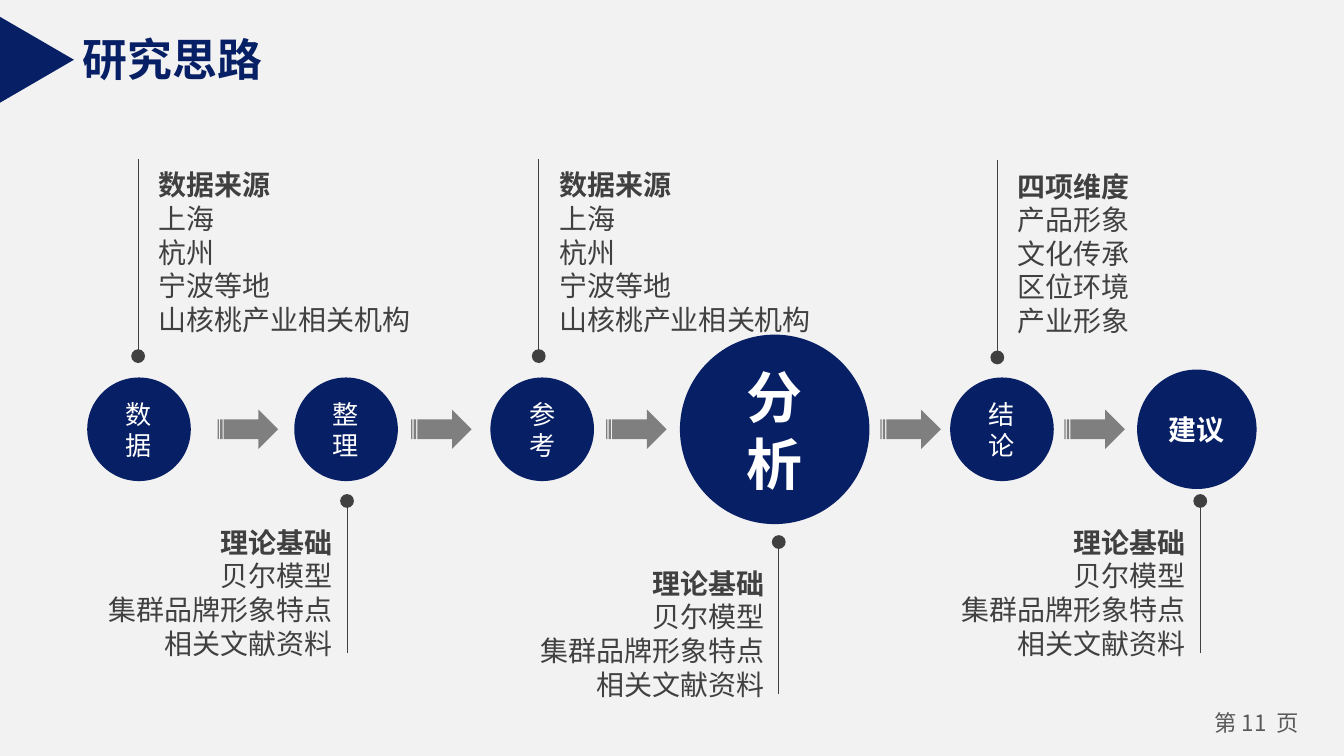
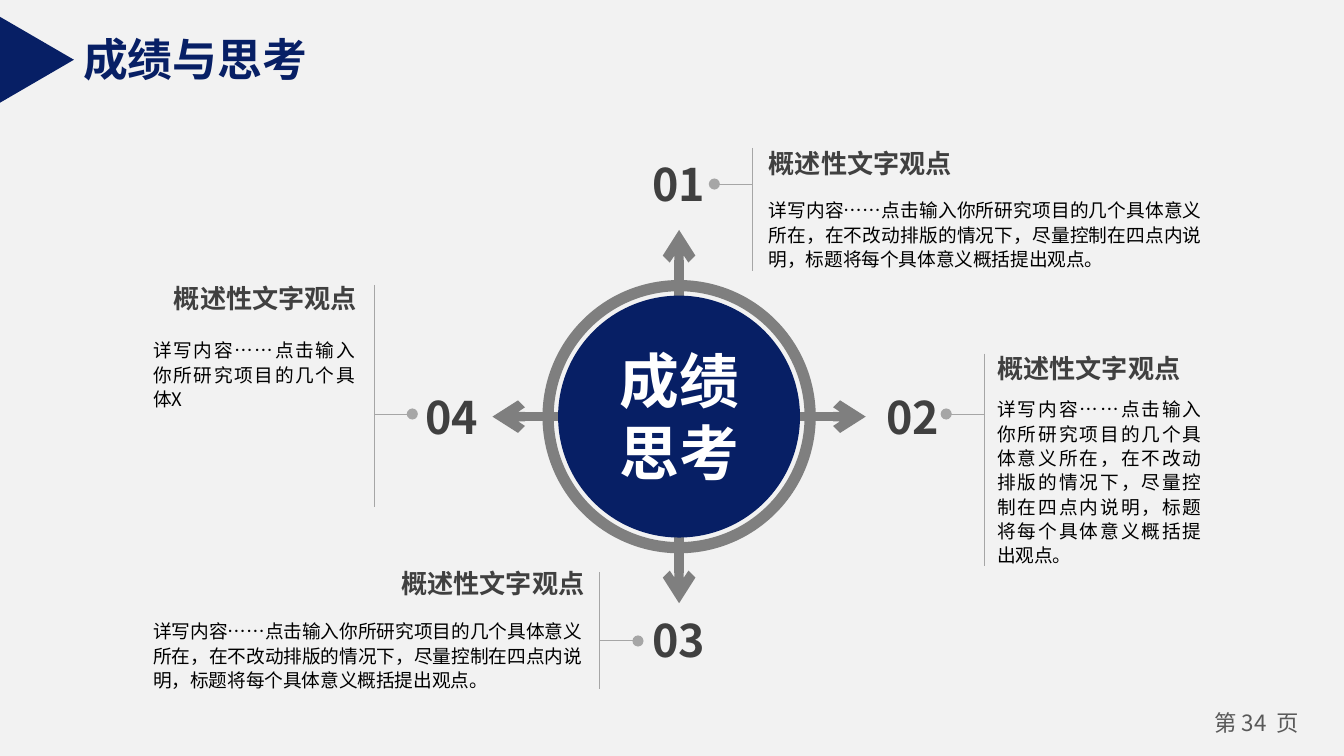
from dataclasses import dataclass

from lxml import etree
from pptx import Presentation
from pptx.dml.color import RGBColor
from pptx.enum.shapes import MSO_CONNECTOR, MSO_SHAPE
from pptx.enum.text import MSO_ANCHOR, MSO_AUTO_SIZE, PP_ALIGN
from pptx.oxml.ns import qn
from pptx.util import Pt

OVAL = MSO_SHAPE.OVAL
ARROW = MSO_SHAPE.STRIPED_RIGHT_ARROW
WEDGE = MSO_SHAPE.ISOSCELES_TRIANGLE
LINE = MSO_CONNECTOR.STRAIGHT
LEFT, RIGHT, MID, FULL = PP_ALIGN.LEFT, PP_ALIGN.RIGHT, PP_ALIGN.CENTER, PP_ALIGN.JUSTIFY
GROW = MSO_AUTO_SIZE.SHAPE_TO_FIT_TEXT


@dataclass(frozen=True)
class Theme:
    paper: str = "F2F2F2"
    navy: str = "071F65"
    gray: str = "7F7F7F"
    pale: str = "A6A6A6"
    dark: str = "404040"
    foot: str = "595959"
    white: str = "FFFFFF"
    black: str = "000000"
    font: str = "Noto Sans CJK SC"
    head_font: str = "Arial"
    title: float = 24
    page: float = 12
    step: float = 14
    note: float = 15
    big: float = 30
    hub: float = 32
    digit: float = 24
    head: float = 14
    body: float = 10


T = Theme()


@dataclass(frozen=True)
class Step:
    text: str
    x: float
    wide: float = 55.5
    size: float = T.step
    bold: bool = False


@dataclass(frozen=True)
class Note:
    """Text on a stem; x and y are the centre of the stem's dot."""
    lines: tuple[str, ...]
    x: float
    y: float
    wide: float
    up: bool


@dataclass(frozen=True)
class Point:
    """One view; side is -1 if its number stands left of the stem, else 1."""
    mark: str
    mark_x: float
    mark_y: float
    stem: tuple[float, float, float]
    fork: float
    side: int
    head: tuple[float, float, float]
    body: tuple[float, float, float, float]
    text: str


STEP_Y = 230
STEPS = (
    Step("数据", 74.5), Step("整理", 185.4), Step("参考", 290.5),
    Step("分析", 415, 101.5, T.big, True), Step("结论", 536.8),
    Step("建议", 641.2, 64, T.note, True),
)
ARROWS = (116.6, 220.3, 324.7, 471.6, 570.2)

SOURCE = ("数据来源", "上海", "杭州", "宁波等地", "山核桃产业相关机构")
THEORY = ("理论基础", "贝尔模型", "集群品牌形象特点", "相关文献资料")
SIDES = ("四项维度", "产品形象", "文化传承", "区位环境", "产业形象")
NOTES = (
    Note(SOURCE, 74, 190.8, 151, True),
    Note(THEORY, 185.9, 268.4, 135.4, False),
    Note(SIDES, 534.3, 191.5, 75, True),
    Note(SOURCE, 288.6, 190.8, 151, True),
    Note(THEORY, 643, 268.4, 135.4, False),
    Note(THEORY, 417.2, 290.4, 135.4, False),
)

HUB_X, HUB_Y = 363.8, 223.2
VIEW = "概述性文字观点"
START = "详写内容……点击输入你所研究项目的几个具体"
LONG = START + "意义所在，在不改动排版的情况下，尽量控制在四点内说明，标题将每个具体意义概括提出观点。"
POINTS = (
    Point("01", 344.9, 84.2, (403.2, 79.2, 145.4), 98.6, -1,
          (411.8, 79.2, 167), (411.8, 105.8, 232, 39.6), LONG),
    Point("02", 470.2, 208.8, (527.4, 189.4, 303.1), 221.8, -1,
          (534.2, 188.6, 109.4), (534.2, 212.4, 109.4, 92), LONG),
    Point("03", 344.9, 328.3, (321.3, 306.7, 369.4), 343.4, 1,
          (203.8, 303.8, 109.4), (82, 331.2, 229.7, 39.6), LONG),
    Point("04", 223.2, 208.8, (200.4, 152.6, 271.4), 221.8, 1,
          (82, 151.2, 109.4), (82, 180.7, 108, 25.2), START + "X"),
)


def style(para, size: float, color: str, bold: bool = False,
          align=LEFT, font: str = T.font) -> None:
    para.alignment = align
    face = para.font
    face.size, face.bold, face.name = Pt(size), bold, font
    face.color.rgb = RGBColor.from_string(color)
    props = para._p.get_or_add_pPr().find(qn("a:defRPr"))
    etree.SubElement(props, qn("a:ea")).set("typeface", T.font)


def pad(frame, side: float, end: float) -> None:
    frame.margin_left = frame.margin_right = Pt(side)
    frame.margin_top = frame.margin_bottom = Pt(end)


def label(slide, text: str, x: float, y: float, wide: float, high: float,
          size: float, color: str, bold: bool = False, align=LEFT,
          inset: tuple[float, float] = (0, 0), font: str = T.font):
    """Add a wrapped one-paragraph text box and return its frame."""
    frame = slide.shapes.add_textbox(Pt(x), Pt(y), Pt(wide), Pt(high)).text_frame
    frame.word_wrap = True
    pad(frame, *inset)
    frame.text = text
    style(frame.paragraphs[0], size, color, bold, align, font)
    return frame


def shape(slide, kind, x: float, y: float, wide: float, high: float,
          fill: str | None, edge: str | None = None, width: float = 0):
    """Add a preset shape centred on x, y."""
    form = slide.shapes.add_shape(kind, Pt(x - wide / 2), Pt(y - high / 2),
                                  Pt(wide), Pt(high))
    form.shadow.inherit = False
    if fill:
        form.fill.solid()
        form.fill.fore_color.rgb = RGBColor.from_string(fill)
    else:
        form.fill.background()
    if edge:
        form.line.color.rgb = RGBColor.from_string(edge)
        form.line.width = Pt(width)
    else:
        form.line.fill.background()
    return form


def link(slide, x1: float, y1: float, x2: float, y2: float,
         color: str, width: float = 0.5, tip: str | None = None) -> None:
    """Draw a line, with an optional arrowhead at its start."""
    line = slide.shapes.add_connector(LINE, Pt(x1), Pt(y1), Pt(x2), Pt(y2))
    line.line.color.rgb = RGBColor.from_string(color)
    line.line.width = Pt(width)
    props = line._element.spPr
    if tip:
        etree.SubElement(props.find(qn("a:ln")), qn("a:headEnd")).set("type", tip)
    etree.SubElement(props, qn("a:effectLst"))


def base(deck, title: str, page: int):
    """Add a slide with its background, title, wedge and page number."""
    slide = deck.slides.add_slide(deck.slide_layouts[6])
    back = slide.background.fill
    back.solid()
    back.fore_color.rgb = RGBColor.from_string(T.paper)
    label(slide, f"第 {page}  页", 640.8, 377.3, 64.8, 21.6, T.page, T.foot,
          align=MID, inset=(5, 2.9))
    frame = label(slide, title, 37.4, 13.7, len(title) * T.title + 15, 36,
                  T.title, T.navy, True, inset=(7.2, 3.6), font=T.head_font)
    frame.word_wrap, frame.auto_size = False, GROW
    shape(slide, WEDGE, 19.8, 32, 46, 39.6, T.navy).rotation = 90
    return slide


def add_step(slide, step: Step) -> None:
    frame = shape(slide, OVAL, step.x, STEP_Y, step.wide, step.wide, T.navy).text_frame
    frame.word_wrap = True
    frame.vertical_anchor = MSO_ANCHOR.MIDDLE
    pad(frame, 7.2, 3.6)
    frame.text = step.text
    style(frame.paragraphs[0], step.size, T.white, step.bold, MID)


def add_note(slide, note: Note) -> None:
    shape(slide, OVAL, note.x, note.y, 7.4, 7.4, T.dark)
    reach = -105.5 if note.up else 81.5
    link(slide, note.x, note.y, note.x, note.y + reach, T.dark)
    x = note.x + 3.8 if note.up else note.x - 0.8 - note.wide
    y = note.y + (-104.4 if note.up else 9.5)
    frame = label(slide, "\n".join(note.lines), x, y, note.wide,
                  18 * len(note.lines) + 8, T.note, T.dark, True,
                  LEFT if note.up else RIGHT, (7.2, 3.6))
    frame.word_wrap, frame.auto_size = False, GROW
    for para in frame.paragraphs[1:]:
        style(para, T.note, T.dark, False, LEFT if note.up else RIGHT)


def add_point(slide, point: Point) -> None:
    label(slide, point.mark, point.mark_x, point.mark_y, 37.5, 28.8,
          T.digit, T.dark, True, MID)
    x, top, end = point.stem
    link(slide, x, top, x, end, T.pale)
    link(slide, x + 20.5 * point.side, point.fork, x, point.fork, T.pale, tip="oval")
    label(slide, VIEW, *point.head, 17, T.head, T.dark, True,
          LEFT if point.side < 0 else RIGHT)
    frame = label(slide, point.text, *point.body, T.body, T.black, align=FULL)
    frame.paragraphs[0].line_spacing = Pt(13)


def flow(deck) -> None:
    slide = base(deck, "研究思路", 11)
    for step in STEPS:
        add_step(slide, step)
    for left in ARROWS:
        shape(slide, ARROW, left + 16.2, STEP_Y, 32.4, 21, T.gray)
    for note in NOTES:
        add_note(slide, note)


def wheel(deck) -> None:
    slide = base(deck, "成绩与思考", 34)
    shape(slide, OVAL, HUB_X, HUB_Y, 140.4, 140.4, None, T.gray, 6)
    for dx, dy in ((0, -1), (0, 1), (1, 0), (-1, 0)):
        link(slide, HUB_X + 100 * dx, HUB_Y + 100 * dy,
             HUB_X + 56 * dx, HUB_Y + 56 * dy, T.gray, 5, "arrow")
    for point in POINTS:
        add_point(slide, point)
    shape(slide, OVAL, HUB_X, HUB_Y, 129.6, 129.6, T.navy)
    label(slide, "成绩思考", 316.8, 180.7, 94.3, 85, T.hub, T.white, True,
          MID, (7.2, 3.6))


def main() -> None:
    deck = Presentation()
    deck.slide_width, deck.slide_height = Pt(720), Pt(405)
    flow(deck)
    wheel(deck)
    deck.save("out.pptx")


if __name__ == "__main__":
    main()
